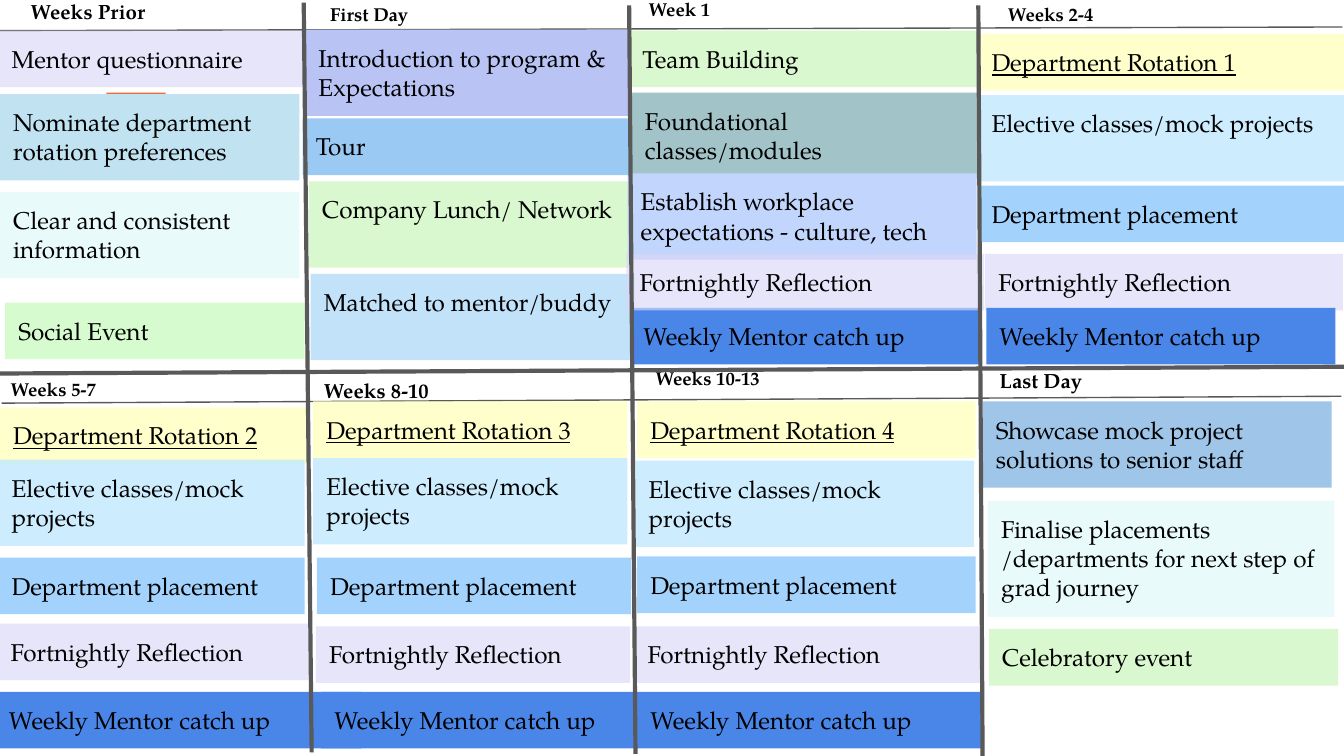
from lxml import etree
from pptx import Presentation
from pptx.dml.color import RGBColor
from pptx.enum.shapes import MSO_CONNECTOR, MSO_SHAPE
from pptx.enum.text import MSO_ANCHOR, PP_ALIGN
from pptx.oxml.ns import qn
from pptx.util import Cm, Pt

RECT = MSO_SHAPE.RECTANGLE
LINE = MSO_CONNECTOR.STRAIGHT
TOP = MSO_ANCHOR.TOP
LEFT = PP_ALIGN.LEFT

FONT = "TeX Gyre Pagella"
COLORS = {
    "text": "000000", "rule": "595959", "accent": "F16839",
    "intro": "B9C4F5", "tour": "9ACAF3", "green": "D7F8CB",
    "match": "C2E2FA", "teal": "A2C4C9", "culture": "C2D5FD",
    "mentor": "4A86E8", "yellow": "FFFFCC", "class": "BEE8FF",
    "lilac": "DAD7F7", "place": "A3D3FD", "prefer": "C1E2F1",
    "mint": "C5F5F2", "social": "B6F8AB", "show": "9FC5E8",
}
ALPHA = {"green": 92, "class": 76, "lilac": 64, "mint": 38, "social": 56}

ROTATE = "Department Rotation "
CLASS = "Elective classes/mock projects"
PLACE = "Department placement"
REFLECT = "Fortnightly Reflection"
MENTOR = "Weekly Mentor catch up"

prs = Presentation()
prs.slide_width, prs.slide_height = Cm(25.4), Cm(14.29)
slide = prs.slides.add_slide(prs.slide_layouts[6])
shapes = slide.shapes


def add_text(text, left, top, width, height, fill=None, size=13, bold=False, under=False):
    box = [Cm(n) for n in (left, top, width, height)]
    if fill:
        shape = shapes.add_shape(RECT, *box)
        shape.shadow.inherit = False
        shape.line.fill.background()
        shape.fill.solid()
        shape.fill.fore_color.rgb = RGBColor.from_string(COLORS[fill])
        if fill in ALPHA:
            tint = shape.fill._xPr.find(qn("a:solidFill"))[0]
            etree.SubElement(tint, qn("a:alpha"), val=str(ALPHA[fill] * 1000))
    else:
        shape = shapes.add_textbox(*box)
    if not text:
        return
    frame = shape.text_frame
    frame.word_wrap = True
    frame.vertical_anchor = TOP
    frame.margin_left = frame.margin_right = Cm(0.25)
    frame.margin_top = frame.margin_bottom = Cm(0.25)
    para = frame.paragraphs[0]
    para.alignment = LEFT
    run = para.add_run()
    run.text = text
    font = run.font
    font.name, font.size, font.bold, font.underline = FONT, Pt(size), bold, under
    font.color.rgb = RGBColor.from_string(COLORS["text"])


def add_rule(x1, y1, x2, y2, weight):
    rule = shapes.add_connector(LINE, Cm(x1), Cm(y1), Cm(x2), Cm(y2))
    rule.line.color.rgb = RGBColor.from_string(COLORS["rule"])
    rule.line.width = Pt(weight)
    etree.SubElement(rule._element.spPr, qn("a:effectLst"))


add_text("", 2.01, 1.75, 1.12, 0.1, fill="accent")

for rule in [
    (0, 7.06, 25.81, 6.93, 2.25),
    (-0.08, 0.58, 25.37, 0.51, 0.75),
    (0.03, 7.62, 25.35, 7.49, 0.75),
]:
    add_rule(*rule)

heads = [
    ("Weeks Prior", 0.33, -0.25, 5.08, 11),
    ("First Day", 5.99, -0.15, 4.93, 10),
    ("Week 1", 12.01, -0.25, 6.12, 10),
    ("Weeks 2-4", 18.8, -0.15, 5.66, 10),
    ("Weeks 5-7", -0.05, 6.93, 5.94, 10),
    ("Weeks 8-10", 5.87, 6.91, 5.16, 11),
    ("Weeks 10-13", 12.14, 6.73, 6.2, 10),
    ("Last Day", 18.64, 6.73, 5.66, 11),
]
for text, left, top, width, size in heads:
    add_text(text, left, top, width, 0.96, size=size, bold=True)

cards = [
    ("Mentor questionnaire", "lilac", -0.03, 0.58, 5.79, 1),
    ("Nominate department rotation preferences", "prefer", 0, 1.78, 5.66, 2),
    ("Clear and consistent information", "mint", 0, 3.63, 5.66, 2),
    ("Social Event", "social", 0.1, 5.72, 5.66, 1),
    ("Introduction to program & Expectations", "intro", 5.77, 0.56, 6.12, 2),
    ("Tour", "tour", 5.72, 2.24, 6.2, 1),
    ("Company Lunch/ Network", "green", 5.84, 3.43, 6.12, 2),
    ("Matched to mentor/buddy", "match", 5.87, 5.18, 6.12, 2),
    ("Team Building", "green", 11.89, 0.58, 6.6, 1),
    ("Foundational classes/modules", "teal", 11.94, 1.75, 6.6, 2),
    ("Establish workplace expectations - culture, tech", "culture", 11.86, 3.28, 6.6, 2),
    (MENTOR, "mentor", 11.91, 5.82, 6.6, 1),
    (REFLECT, "lilac", 11.84, 4.8, 6.76, 1),
    ("Showcase mock project solutions to senior staff", "show", 18.57, 7.59, 6.6, 2),
    ("Finalise placements /departments for next step of grad journey", "mint",
     18.67, 9.47, 6.55, 3),
    ("Celebratory event", "green", 18.69, 11.89, 6.6, 1),
]

kinds = [
    (ROTATE, "yellow", 1), (CLASS, "class", 2), (PLACE, "place", 1),
    (REFLECT, "lilac", 1), (MENTOR, "mentor", 1),
]
spots = [
    [(18.49, 0.64, 6.91), (18.49, 1.8, 6.91), (18.49, 3.51, 6.91),
     (18.62, 4.8, 6.76), (18.64, 5.82, 6.6)],
    [(0, 7.7, 5.79), (-0.03, 8.69, 5.79), (-0.03, 10.54, 5.79),
     (-0.05, 11.79, 5.94), (-0.08, 13.08, 6.91)],
    [(5.92, 7.59, 5.94), (5.92, 8.66, 5.94), (5.99, 10.54, 5.94),
     (5.97, 11.84, 5.94), (6.07, 13.08, 5.94)],
    [(12.04, 7.59, 6.4), (12.01, 8.71, 6.4), (12.04, 10.52, 6.4),
     (11.99, 11.84, 6.6), (12.04, 13.08, 6.55)],
]
for turn, column in enumerate(spots, 1):
    for (text, fill, rows), spot in zip(kinds, column):
        label = f"{text}{turn}" if text == ROTATE else text
        cards.append((label, fill, *spot, rows))

for text, fill, left, top, width, rows in cards:
    add_text(text, left, top, width, 0.51 + 0.56 * rows, fill=fill,
             under=text.startswith(ROTATE))

for rule in [
    (5.74, 0.05, 5.89, 14.22, 2.25),
    (11.89, 0.1, 12.01, 14.25, 2.25),
    (18.49, 0.1, 18.57, 14.35, 2.25),
]:
    add_rule(*rule)

prs.save("out.pptx")
